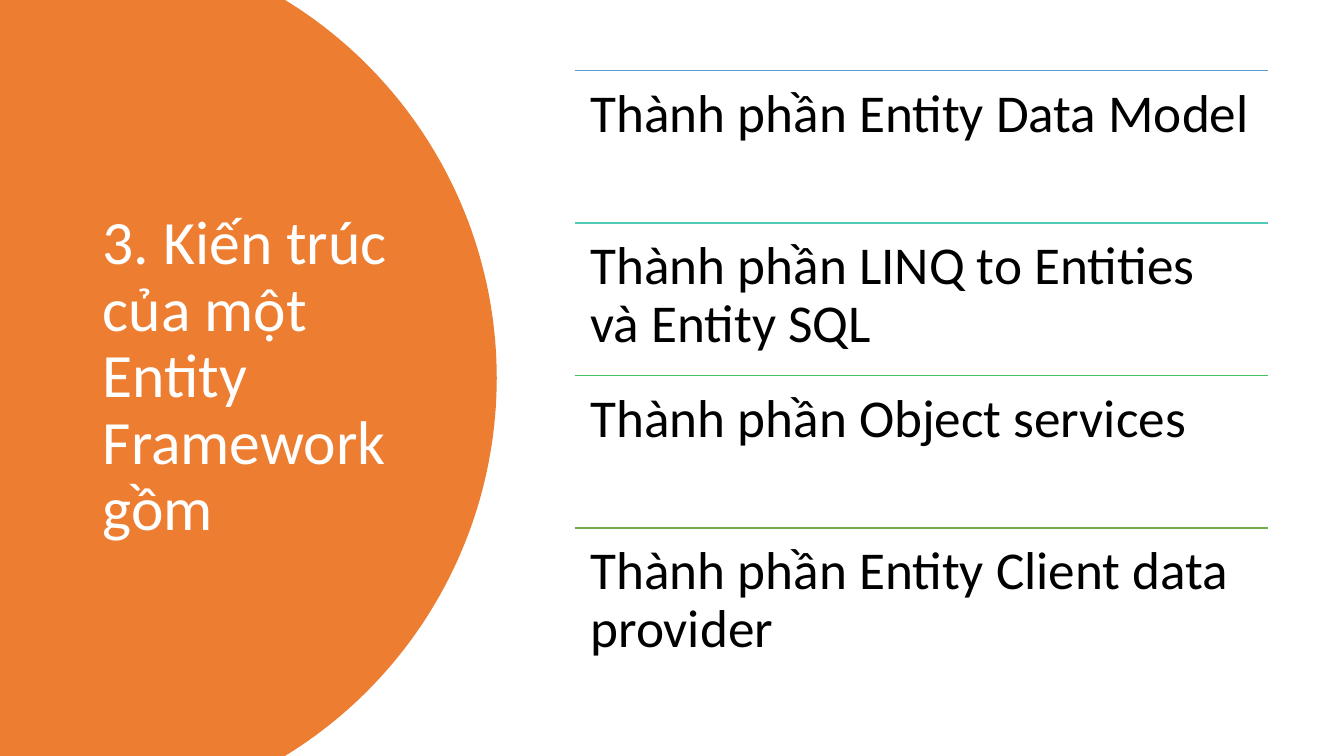
import math

import pptx
import pptx.dml.color
import pptx.enum.shapes
import pptx.enum.text
import pptx.util
from lxml import etree

Cm = pptx.util.Cm
Pt = pptx.util.Pt
ANCHOR = pptx.enum.text.MSO_ANCHOR

WIDTH, HEIGHT = 33.87, 19.05
LEFT, TOP, SPAN, STEP = 14.48, 1.78, 17.47, 3.84
COLORS = {
    "orange": "ED7D31",
    "white": "FFFFFF",
    "black": "000000",
    "blue": "5B9BD5",
    "teal": "52CAB8",
    "mint": "49BF64",
    "green": "70AD47",
}
ITEMS = [
    ("blue", "Thành phần Entity Data Model"),
    ("teal", "Thành phần LINQ to Entities và Entity SQL"),
    ("mint", "Thành phần Object services"),
    ("green", "Thành phần Entity Client data provider"),
]


def tint(name):
    return pptx.dml.color.RGBColor.from_string(COLORS[name])


def apply(target, values):
    for key, value in values.items():
        setattr(target, key, value)


def add_panel(slide, center, radius, color):
    middle = HEIGHT / 2
    limit = math.asin(middle / radius)
    steps = 96
    angles = [limit * (2 * i / steps - 1) for i in range(steps + 1)]
    arc = [
        (Cm(center + radius * math.cos(a)), Cm(middle + radius * math.sin(a)))
        for a in angles
    ]
    outline = slide.shapes.build_freeform(0, 0)
    outline.add_line_segments(arc + [(0, Cm(HEIGHT))], close=True)
    panel = outline.convert_to_shape()
    panel.shadow.inherit = False
    panel.fill.solid()
    panel.fill.fore_color.rgb = tint(color)
    panel.line.fill.background()


def add_text(slide, box, text, size, color, anchor, inset):
    frame = slide.shapes.add_textbox(*map(Cm, box)).text_frame
    side, edge = map(Cm, inset)
    apply(frame, {
        "word_wrap": True,
        "vertical_anchor": anchor,
        "margin_left": side,
        "margin_right": side,
        "margin_top": edge,
        "margin_bottom": edge,
    })
    para = frame.paragraphs[0]
    para.line_spacing = 0.9
    run = para.add_run()
    run.text = text
    apply(run.font, {"name": "Calibri", "size": Pt(size)})
    run.font.color.rgb = tint(color)


def add_rule(slide, left, top, width, color):
    rule = slide.shapes.add_connector(
        pptx.enum.shapes.MSO_CONNECTOR.STRAIGHT,
        Cm(left), Cm(top), Cm(left + width), Cm(top),
    )
    rule.line.color.rgb = tint(color)
    rule.line.width = Pt(1)
    etree.SubElement(rule._element.spPr, pptx.oxml.ns.qn("a:effectLst"))


def main():
    deck = pptx.Presentation()
    apply(deck, {"slide_width": Cm(WIDTH), "slide_height": Cm(HEIGHT)})
    slide = deck.slides.add_slide(deck.slide_layouts[6])
    add_panel(slide, 1.35, 11.17, "orange")
    add_text(slide, (2.34, TOP, 8.2, 15.47),
             "3. Kiến trúc của một Entity Framework gồm",
             44, "white", ANCHOR.MIDDLE, (0.25, 0.13))
    for row, (color, text) in enumerate(ITEMS):
        top = TOP + row * STEP
        add_rule(slide, LEFT, top, SPAN, color)
        add_text(slide, (LEFT, top, SPAN, STEP), text,
                 38, "black", ANCHOR.TOP, (0.4, 0.4))
    deck.save("out.pptx")


if __name__ == "__main__":
    main()
